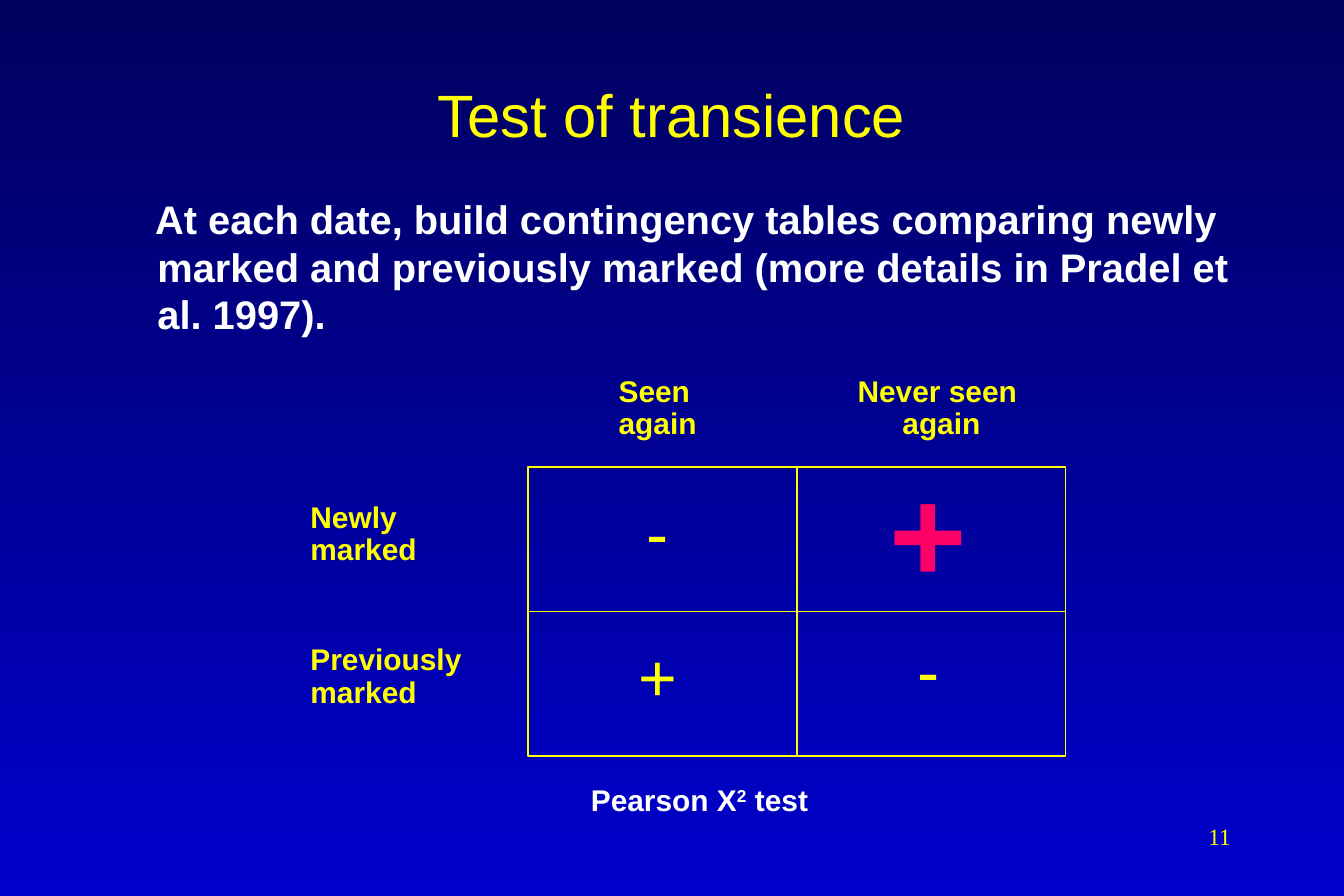
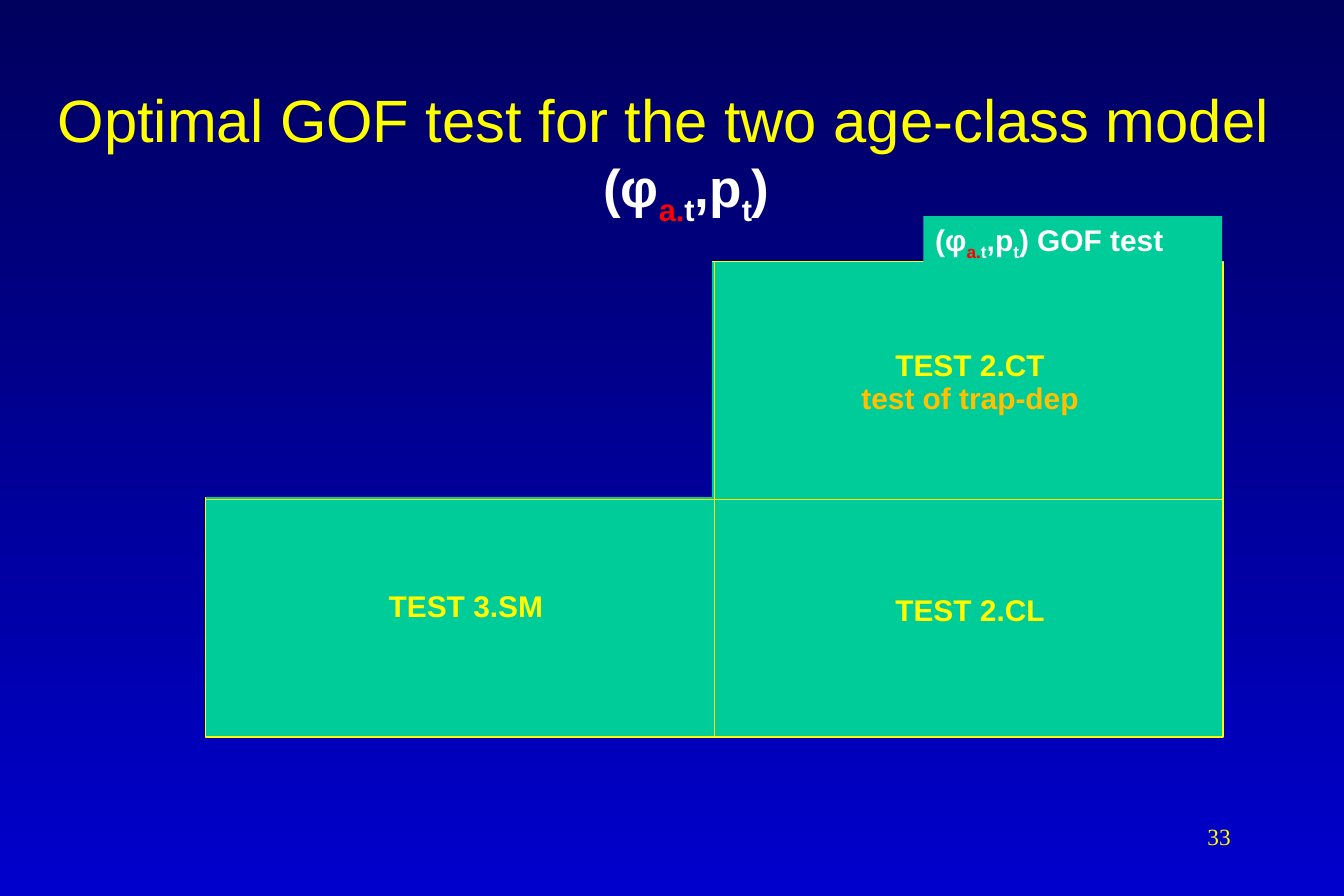
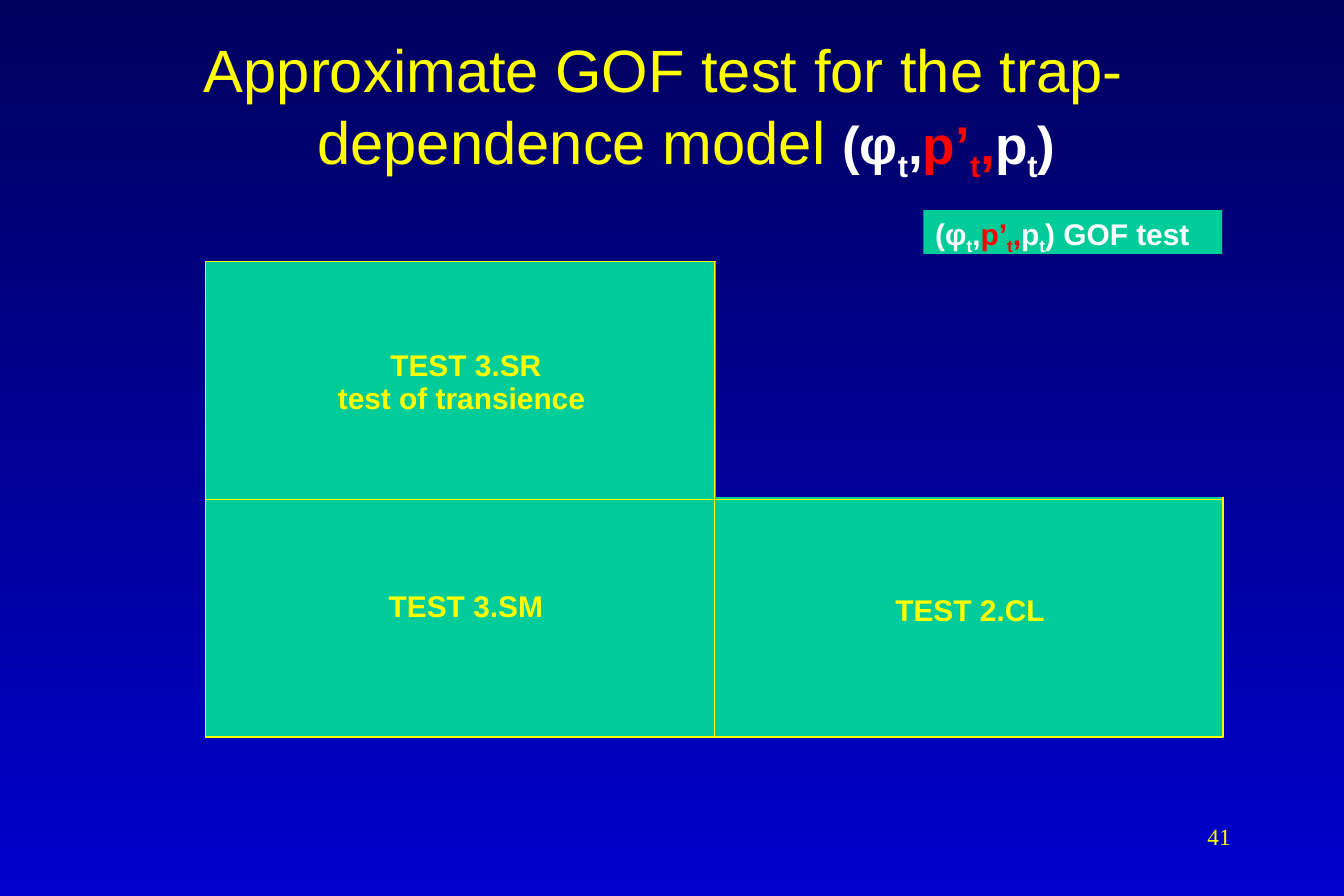
from dataclasses import dataclass

from pptx import Presentation
from pptx.dml.color import RGBColor
from pptx.enum.shapes import MSO_CONNECTOR, MSO_SHAPE
from pptx.enum.text import MSO_ANCHOR, PP_ALIGN
from pptx.oxml.ns import qn
from pptx.util import Inches, Pt
from lxml import etree

LEFT, MID, RIGHT = PP_ALIGN.LEFT, PP_ALIGN.CENTER, PP_ALIGN.RIGHT
TOP, CENTER = MSO_ANCHOR.TOP, MSO_ANCHOR.MIDDLE
RECT = MSO_SHAPE.RECTANGLE
LINE = MSO_CONNECTOR.STRAIGHT


@dataclass(frozen=True)
class Theme:
    """Colours, fonts and type sizes of the deck."""
    dark: str = "00005E"
    blue: str = "0000CC"
    yellow: str = "FFFF00"
    white: str = "FFFFFF"
    red: str = "FF0000"
    pink: str = "FF0066"
    amber: str = "FFC000"
    green: str = "00CC99"
    sans: str = "Arial"
    serif: str = "Times New Roman"
    title: int = 36
    model: int = 32
    body: int = 24
    label: int = 18
    page: int = 14
    sign: int = 40
    large: int = 80
    rule: int = 1
    tight: float = 0.9


T = Theme()

AGE = [("(φ", T.white, 0), ("a.", T.red, -25), ("t", T.white, -25),
       (",p", T.white, 0), ("t", T.white, -25), (")", T.white, 0)]
TRAP = [("(φ", T.white, 0), ("t", T.white, -25), (",", T.white, 0),
        ("p’", T.red, 0), ("t", T.red, -25), (",", T.red, 0),
        ("p", T.white, 0), ("t", T.white, -25), (")", T.white, 0)]


def inches(box):
    """Turn a box of numbers into lengths."""
    return [Inches(n) for n in box]


def write(par, text, size, tint, bold=True, base=0, face=T.sans):
    """Add one run to a paragraph."""
    run = par.add_run()
    run.text = text
    font = run.font
    font.size, font.bold, font.name = Pt(size), bold, face
    font.color.rgb = RGBColor.from_string(tint)
    if base:
        run._r.get_or_add_rPr().set("baseline", str(base * 1000))


def model(par, parts, size):
    """Write a model formula run by run."""
    for text, tint, base in parts:
        write(par, text, size, tint, base=base)


def style(par, align, tight=None, left=0, first=0):
    """Set the alignment, line spacing and indents of a paragraph."""
    par.alignment = align
    par.line_spacing = tight
    if left:
        props = par._p.get_or_add_pPr()
        props.set("marL", str(Inches(left)))
        props.set("indent", str(Inches(first)))


def area(slide, box, anchor=TOP):
    """Add a wrapping text box and return its frame."""
    frame = slide.shapes.add_textbox(*inches(box)).text_frame
    frame.word_wrap = True
    frame.vertical_anchor = anchor
    return frame


def label(slide, box, lines, align=LEFT, size=T.label, tint=T.yellow, bold=True):
    """Add a tight label, its lines parted by line breaks."""
    par = area(slide, box).paragraphs[0]
    style(par, align, T.tight)
    for i, line in enumerate(lines):
        if i:
            par.add_line_break()
        write(par, line, size, tint, bold)


def panel(slide, box, fill=None, line=None):
    """Add a plain rectangle with an optional fill and outline."""
    shape = slide.shapes.add_shape(RECT, *inches(box))
    shape.shadow.inherit = False
    if fill:
        shape.fill.solid()
        shape.fill.fore_color.rgb = RGBColor.from_string(fill)
    else:
        shape.fill.background()
    if line:
        shape.line.color.rgb = RGBColor.from_string(line)
        shape.line.width = Pt(T.rule)
    else:
        shape.line.fill.background()
    return shape


def notch(slide, box):
    """Cut a corner out with a rectangle filled by the slide background."""
    shape = slide.shapes.add_shape(RECT, *inches(box))
    shape.shadow.inherit = False
    shape.line.fill.background()
    node = shape._element
    node.set("useBgFill", "1")
    node.remove(node.find(qn("p:style")))


def link(slide, shape, start, end):
    """Draw a rule between the middles of two sides of a rectangle."""
    rule = slide.shapes.add_connector(LINE, 0, 0, 0, 0)
    rule.begin_connect(shape, start)
    rule.end_connect(shape, end)
    rule.line.color.rgb = RGBColor.from_string(T.yellow)
    rule.line.width = Pt(T.rule)
    etree.SubElement(rule._element.spPr, qn("a:effectLst"))


def cross(slide, shape):
    """Split a rectangle into four equal cells."""
    link(slide, shape, 0, 2)
    link(slide, shape, 1, 3)


def base(deck, page):
    """Add a slide with the shared background and page number."""
    slide = deck.slides.add_slide(deck.slide_layouts[6])
    fill = slide.background.fill
    fill.gradient()
    fill.gradient_angle = 270
    for stop, tint in zip(fill.gradient_stops, (T.dark, T.blue)):
        stop.color.rgb = RGBColor.from_string(tint)
    par = area(slide, (8.06, 6.83, 2.34, 0.5)).paragraphs[0]
    style(par, RIGHT)
    write(par, str(page), T.page, T.yellow, False, face=T.serif)
    return slide


def title(slide, box, text, parts=(), hang=0):
    """Add the title, followed by a model formula if there is one."""
    par = area(slide, box, CENTER).paragraphs[0]
    style(par, MID, left=hang, first=-hang)
    write(par, text, T.title, T.yellow, False)
    model(par, parts, T.model)


def grid(slide, box):
    """Draw the two by two contingency table with its signs and labels."""
    x, y, w, h = box
    cross(slide, panel(slide, box, line=T.yellow))
    label(slide, (x + 0.66, y - 0.81, 1.08, 0.64), ["Seen ", "again"])
    label(slide, (x + 2.5, y - 0.81, 1.92, 0.64), ["Never seen ", "again"], MID)
    for i, word in enumerate(("Newly ", "Previously ")):
        label(slide, (x - 1.92, y + 0.25 + i * 1.19, 1.58, 0.64), [word, "marked"])
    label(slide, (x + 2.93, y - 0.04, 0.75, 1.3), ["+"], size=T.large, tint=T.pink)
    for dx, dy, sign in ((0.83, 1.43, "+"), (0.89, 0.23, "-"), (3.16, 1.38, "-")):
        label(slide, (x + dx, y + dy, 0.75, 0.7), [sign], size=T.sign, bold=False)


def note(slide, box, lines):
    """Add a label whose lines are paragraphs with their own style."""
    frame = area(slide, box)
    for i, (text, tint, align) in enumerate(lines):
        par = frame.add_paragraph() if i else frame.paragraphs[0]
        style(par, align, T.tight)
        write(par, text, T.label, tint)


def tag(slide, box, parts):
    """Add the green tag that names the model tested."""
    frame = panel(slide, box, T.green).text_frame
    frame.word_wrap = True
    frame.vertical_anchor = TOP
    par = frame.paragraphs[0]
    style(par, LEFT, T.tight)
    model(par, parts, T.label)
    write(par, " GOF test", T.label, T.white)


def transience(deck):
    """Build the slide on the test of transience."""
    slide = base(deck, 11)
    title(slide, (0.84, 0.33, 9.56, 1.25), "Test of transience")
    par = area(slide, (0.84, 1.58, 9.56, 1.33)).paragraphs[0]
    style(par, LEFT, left=0.38, first=-0.02)
    write(par, "At each date, build contingency tables comparing newly marked "
               "and previously marked (more details in Pradel et al. 1997).",
          T.body, T.white)
    grid(slide, (4.42, 3.91, 4.5, 2.42))
    par = area(slide, (1.17, 6.53, 9.37, 0.37)).paragraphs[0]
    style(par, MID, T.tight)
    model(par, [("Pearson X", T.white, 0), ("2", T.white, 30),
                (" test", T.white, 0)], T.label)


def gof(deck, page, head, text, parts, upper, lines, high):
    """Build a slide that shows which tests make up a model's GOF test."""
    slide = base(deck, page)
    x, y, w, h = box = (1.72, 2.19, 8.52, 3.98)
    frame = panel(slide, box, T.green, T.yellow)
    title(slide, (0.33, head, 10.45, 1.5), text, parts, 0.38)
    tag(slide, (x + 6.01, high, 2.5, 0.41), parts)
    cross(slide, frame)
    note(slide, (x + 1.01 + upper * 4.22, y + 0.7, 2.34, 0.64), lines)
    label(slide, (x + 5.23, y + 2.75, 2.34, 0.37), ["TEST 2.CL"], MID)
    label(slide, (x + 1.01, y + 2.71, 2.34, 0.37), ["TEST 3.SM"], MID)
    notch(slide, (x - 0.06 + (1 - upper) * 4.33, y - 0.06, 4.3, 2.03))


def main():
    """Build and save the deck."""
    deck = Presentation()
    deck.slide_width, deck.slide_height = Inches(11.25), Inches(7.5)
    transience(deck)
    gof(deck, 33, 0.55, "Optimal GOF test for the two age-class model ", AGE, 1,
        [("TEST 2.CT", T.yellow, MID), ("test of trap-dep", T.amber, MID)], 1.81)
    gof(deck, 41, 0.16, "Approximate GOF test for the trap-dependence model ", TRAP, 0,
        [("TEST 3.SR", T.yellow, MID), ("test of transience", T.yellow, LEFT)], 1.76)
    deck.save("out.pptx")


if __name__ == "__main__":
    main()
